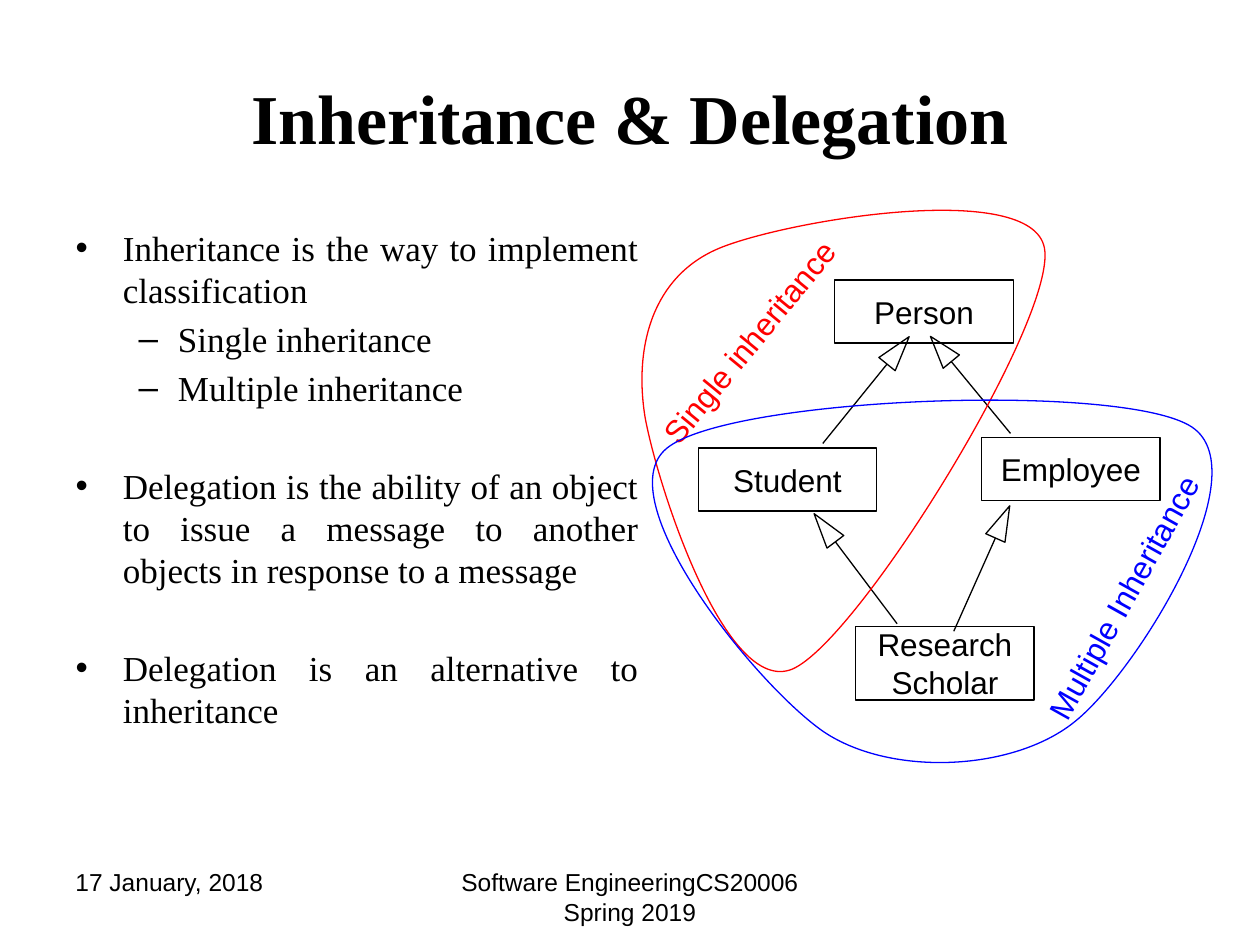
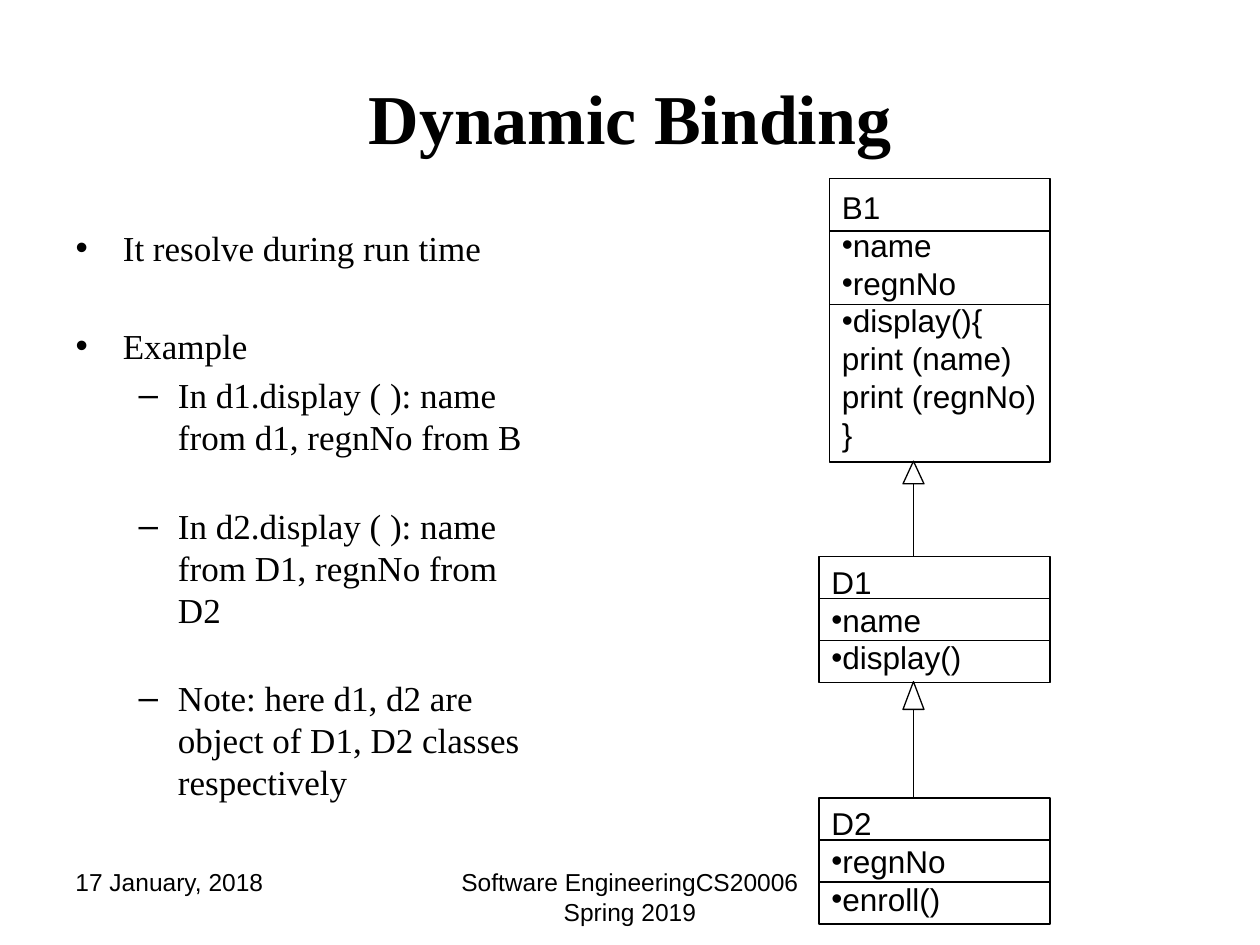
from math import atan2, degrees, hypot

from lxml import etree
from pptx import Presentation
from pptx import util as u
from pptx.dml.color import RGBColor
from pptx.enum import shapes, text
from pptx.oxml.ns import qn

BLACK = RGBColor(0, 0, 0)
RED = RGBColor(255, 0, 0)
BLUE = RGBColor(0, 0, 255)
SERIF, SANS = "Times New Roman", "Arial"
LEFT, MID, FULL = (text.PP_ALIGN.LEFT, text.PP_ALIGN.CENTER,
                   text.PP_ALIGN.JUSTIFY)

GRID = 12
SHIFT = (1 / 24, -1 / 36)

FOOTERS = [
    ("17 January, 2018", (6, 82, 28, 6.25), LEFT),
    ("Software EngineeringCS20006 Spring 2019", (41, 82, 38, 6.25), MID),
]

KINDS = [
    (0, 0, "Inheritance is the way to implement classification"),
    (1, 4, "Single inheritance"),
    (1, 4, "Multiple inheritance"),
    (0, 32, "Delegation is the ability of an object to issue a message "
            "to another objects in response to a message"),
    (0, 32, "Delegation is an alternative to inheritance"),
]
PEOPLE = [
    (["Person"], (79, 27, 17, 6)),
    (["Research", "Scholar"], (81, 60, 17, 7)),
    (["Employee"], (93, 42, 17, 6)),
    (["Student"], (66, 43, 17, 6)),
]
LINKS = [
    ((8.02, 3.44), (7.55, 2.87), 0.26),
    ((7.12, 4.95), (6.63, 4.3), 0.28),
    ((7.57, 5.01), (7.9, 4.27), 0.28),
    ((6.53, 3.52), (7.04, 2.89), 0.28),
]
LOOPS = [
    (RED, [(5.71, 1.97), (6.24, 1.75), (8.19, 1.42), (8.29, 1.97),
           (8.39, 2.53), (6.82, 5.08), (6.29, 5.31),
           (5.76, 5.53), (5.22, 3.86), (5.12, 3.31),
           (5.03, 2.75), (5.18, 2.19), (5.71, 1.97)],
     "Single inheritance", (4.85, 2.51, 2.19, 0.4), 309.4),
    (BLUE, [(6.54, 5.81), (7.08, 6.17), (8.06, 6.12), (8.54, 5.72),
            (9.03, 5.32), (10, 3.75), (9.46, 3.39),
            (8.92, 3.03), (5.78, 3.15), (5.29, 3.56),
            (4.81, 3.96), (6, 5.44), (6.54, 5.81)],
     "Multiple Inheritance", (7.73, 4.54, 2.37, 0.4), 299.2),
]

BINDING = [
    (0, 0, "It resolve during run time"),
    (0, 32, "Example"),
    (1, 4, "In d1.display ( ): name from d1, regnNo from B"),
    (1, 26.5, "In d2.display ( ): name from D1, regnNo from D2"),
    (1, 26.5, "Note: here d1, d2 are object of D1, D2 classes respectively"),
]
CLASSES = [
    (["B1", "•name", "•regnNo", "•display(){", "print (name)",
      "print (regnNo)", "}"], (79, 17, 21, 27), (22, 29)),
    (["D1", "•name", "•display()"], (78, 53, 22, 12), (57, 61)),
    (["D2", "•regnNo", "•enroll()"], (78, 76, 22, 12), (80, 84)),
]
PARENTS = [
    ((7.25, 53 / GRID), (7.25, 3.84), 0.18),
    ((7.25, 76 / GRID), (7.25, 5.63), 0.22),
]


def inches(vals):
    return [u.Inches(v) for v in vals]


def cells(vals):
    return tuple(v / GRID for v in vals)


def style(para, face, size, align=None, color=BLACK, bold=None):
    para.alignment = align
    font = para.font
    font.name, font.size, font.bold = face, u.Pt(size), bold
    font.color.rgb = color


def place(shape, box):
    shape.left, shape.top, shape.width, shape.height = inches(box)


def outline(shape, color=BLACK):
    shape.shadow.inherit = False
    shape.fill.background()
    shape.line.color.rgb = color
    shape.line.width = u.Pt(0.75)


def label(slide, words, box, size, align=LEFT, color=BLACK):
    shape = slide.shapes.add_textbox(*inches(box))
    frame = shape.text_frame
    frame.word_wrap = True
    frame.text = words
    style(frame.paragraphs[0], SANS, size, align, color)
    return shape


def line(slide, start, end):
    wire = slide.shapes.add_connector(
        shapes.MSO_CONNECTOR.STRAIGHT, *inches(start + end))
    wire.line.color.rgb = BLACK
    wire.line.width = u.Pt(0.75)
    etree.SubElement(wire._element.spPr, qn("a:effectLst"))


def arrow(slide, start, end, high, wide=2 / GRID):
    line(slide, start, end)
    dx, dy = end[0] - start[0], end[1] - start[1]
    size = hypot(dx, dy)
    x = end[0] + dx / size * high / 2
    y = end[1] + dy / size * high / 2
    head = slide.shapes.add_shape(
        shapes.MSO_SHAPE.FLOWCHART_EXTRACT,
        *inches((x - wide / 2, y - high / 2, wide, high)))
    head.rotation = degrees(atan2(dx, -dy)) % 360
    outline(head)


def block(slide, rows, box, align):
    shape = slide.shapes.add_shape(shapes.MSO_SHAPE.RECTANGLE, *inches(box))
    outline(shape)
    frame = shape.text_frame
    frame.vertical_anchor = text.MSO_ANCHOR.MIDDLE
    frame.text = "\n".join(row.lstrip("•") for row in rows)
    for row, para in zip(rows, frame.paragraphs):
        style(para, SANS, 18, align)
        if row.startswith("•"):
            props = para._p.get_or_add_pPr()
            props.set("marL", "0")
            props.set("indent", "0")
            etree.SubElement(props, qn("a:buFont")).set("typeface", SANS)
            etree.SubElement(props, qn("a:buChar")).set("char", "•")
            run = props.find(qn("a:defRPr"))
            if run is not None:
                props.append(run)


def loop(slide, color, knots):
    dots = [tuple(inches(knot)) for knot in knots]
    maker = slide.shapes.build_freeform(*dots[0])
    maker.add_line_segments(dots[1:], close=True)
    shape = maker.convert_to_shape()
    legs = list(shape._element.iter(qn("a:lnTo")))
    for i in range(0, len(legs), 3):
        curve = etree.Element(qn("a:cubicBezTo"))
        legs[i].addprevious(curve)
        for leg in legs[i:i + 3]:
            curve.append(leg[0])
            leg.getparent().remove(leg)
    outline(shape, color)


def page(deck, title, items, wide, align):
    slide = deck.slides.add_slide(deck.slide_layouts[1])
    head, body = slide.placeholders
    place(head, (0.5, 0.3, 9, 1.25))
    head.text_frame.text = title
    style(head.text_frame.paragraphs[0], SERIF, 40, MID, bold=True)
    place(body, (0.5, 1.75, wide, 4.95))
    frame = body.text_frame
    frame.auto_size = text.MSO_AUTO_SIZE.NONE
    frame.text = "\n".join(words for _, _, words in items)
    for (level, gap, _), para in zip(items, frame.paragraphs):
        para.level = level
        para.space_before = u.Pt(gap)
        style(para, SERIF, 20, align)
    for words, box, side in FOOTERS:
        label(slide, words, cells(box), 14, side)
    return slide


def main():
    deck = Presentation()
    deck.slide_width, deck.slide_height = inches((10, 7.5))

    slide = page(deck, "Inheritance & Delegation", KINDS, 56 / GRID, FULL)
    for names, box in PEOPLE:
        x, y, wide, high = cells(box)
        block(slide, names, (x + SHIFT[0], y + SHIFT[1], wide, high), MID)
    for link in LINKS:
        arrow(slide, *link)
    for color, knots, words, box, turn in LOOPS:
        loop(slide, color, knots)
        tag = label(slide, words, box, 18, LEFT, color)
        tag.text_frame.margin_right = 0
        tag.rotation = turn

    slide = page(deck, "Dynamic Binding", BINDING, 46 / GRID, LEFT)
    for rows, box, cuts in CLASSES:
        block(slide, rows, cells(box), LEFT)
        for cut in cuts:
            line(slide, cells((box[0], cut)), cells((box[0] + box[2], cut)))
    for link in PARENTS:
        arrow(slide, *link)

    deck.save("out.pptx")


if __name__ == "__main__":
    main()
